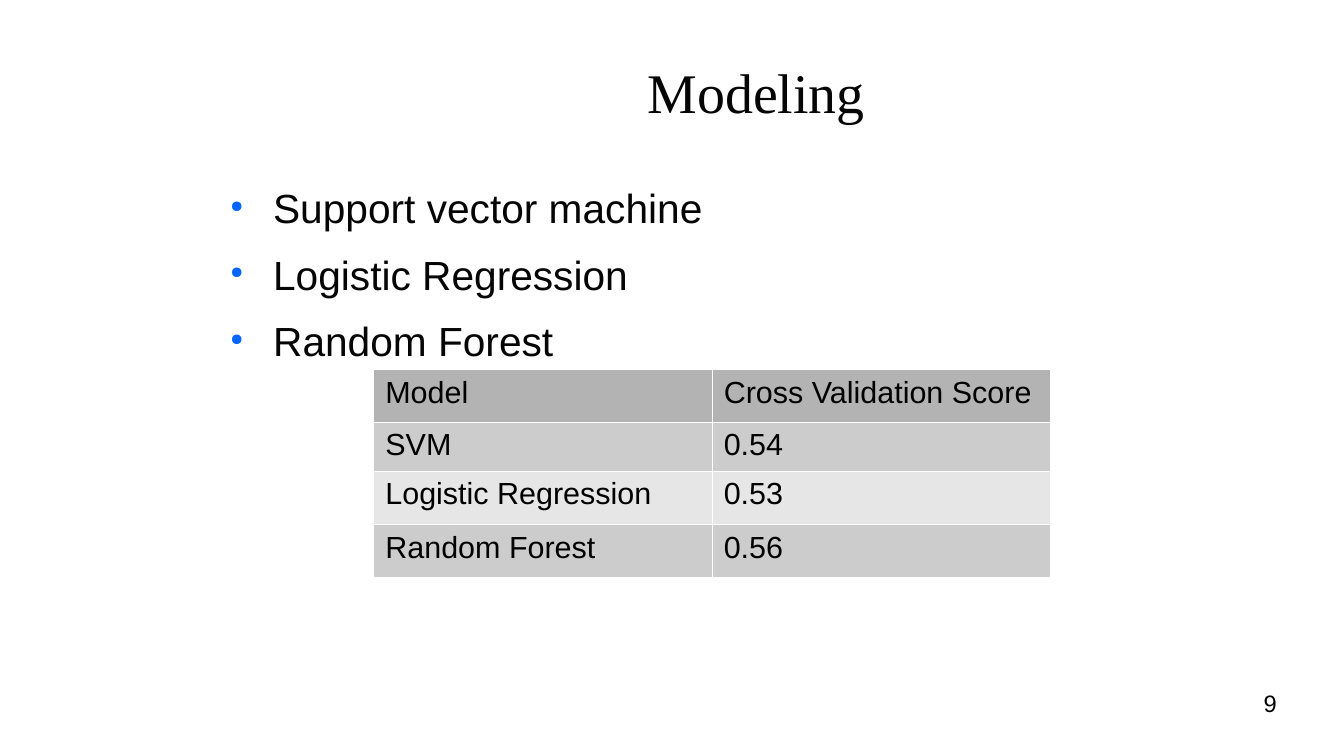
from lxml.etree import SubElement
from pptx import Presentation
from pptx.dml.color import RGBColor
from pptx.enum.text import MSO_ANCHOR, PP_ALIGN
from pptx.oxml import parse_xml
from pptx.oxml.ns import nsdecls, qn
from pptx.util import Inches, Pt

COLORS = {
    "ink": "050505",
    "black": "000000",
    "bullet": "0066FF",
    "header": "B3B3B3",
    "odd": "CCCCCC",
    "even": "E6E6E6",
    "border": "FFFFFF",
}
MODELS = ["Support vector machine", "Logistic Regression", "Random Forest"]
SCORES = [
    ("Model", "Cross Validation Score"),
    ("SVM", "0.54"),
    ("Logistic Regression", "0.53"),
    ("Random Forest", "0.56"),
]
ROW_HEIGHTS = [0.43, 0.38, 0.44, 0.43]


def add_span(para, text, size, color, font="Arial"):
    span = para.add_run()
    span.text = text
    span.font.size = Pt(size)
    span.font.name = font
    span.font.color.rgb = RGBColor.from_string(COLORS[color])


def add_frame(page, box):
    frame = page.shapes.add_textbox(*map(Inches, box)).text_frame
    frame.word_wrap = True
    frame.margin_left = frame.margin_right = 0
    frame.margin_top = frame.margin_bottom = 0
    return frame


def add_title(page, box):
    frame = add_frame(page, box)
    frame.vertical_anchor = MSO_ANCHOR.MIDDLE
    para = frame.paragraphs[0]
    para.alignment = PP_ALIGN.CENTER
    add_span(para, "Modeling", 33, "ink", "Times New Roman")


def add_bullet(para):
    properties = para._p.get_or_add_pPr()
    properties.set("marL", str(Inches(0.47)))
    properties.set("indent", str(Inches(-0.35)))
    color = SubElement(properties, qn("a:buClr"))
    SubElement(color, qn("a:srgbClr"), val=COLORS["bullet"])
    SubElement(properties, qn("a:buSzPct"), val="40000")
    SubElement(properties, qn("a:buChar"), char="●")


def add_model_list(page, box):
    frame = add_frame(page, box)
    for index, model in enumerate(MODELS):
        para = frame.add_paragraph() if index else frame.paragraphs[0]
        add_bullet(para)
        para.space_after = Pt(10.6)
        add_span(para, model, 24, "ink")


def add_borders(cell):
    properties = cell._tc.get_or_add_tcPr()
    for index, side in enumerate(("lnL", "lnR", "lnT", "lnB")):
        line = parse_xml(
            f'<a:{side} {nsdecls("a")} w="{Pt(0.06)}"><a:solidFill>'
            f'<a:srgbClr val="{COLORS["border"]}"/></a:solidFill></a:{side}>'
        )
        properties.insert(index, line)


def add_score_table(page, box):
    shape = page.shapes.add_table(len(SCORES), len(SCORES[0]), *map(Inches, box))
    table = shape.table
    for row, height in zip(table.rows, ROW_HEIGHTS):
        row.height = Inches(height)
    for row_index, values in enumerate(SCORES):
        band = "odd" if row_index % 2 else "even"
        fill = band if row_index else "header"
        for column_index, value in enumerate(values):
            cell = table.cell(row_index, column_index)
            cell.margin_left = cell.margin_right = Inches(0.1)
            cell.margin_top = cell.margin_bottom = Inches(0.05)
            cell.fill.solid()
            cell.fill.fore_color.rgb = RGBColor.from_string(COLORS[fill])
            add_borders(cell)
            para = cell.text_frame.paragraphs[0]
            add_span(para, value, 18, "black")
            para.runs[0].font.bold = False


def add_page_number(page, box):
    para = add_frame(page, box).paragraphs[0]
    para.alignment = PP_ALIGN.RIGHT
    add_span(para, "9", 14, "black")


def main():
    deck = Presentation()
    deck.slide_width, deck.slide_height = Inches(11.02), Inches(6.2)
    page = deck.slides.add_slide(deck.slide_layouts[6])
    add_title(page, (1.77, 0.24, 8.86, 1.02))
    add_model_list(page, (1.77, 1.5, 8.86, 3.6))
    add_score_table(page, (3.06, 3.03, 5.55, 1.68))
    add_page_number(page, (7.9, 5.65, 2.57, 0.43))
    deck.save("out.pptx")


if __name__ == "__main__":
    main()
